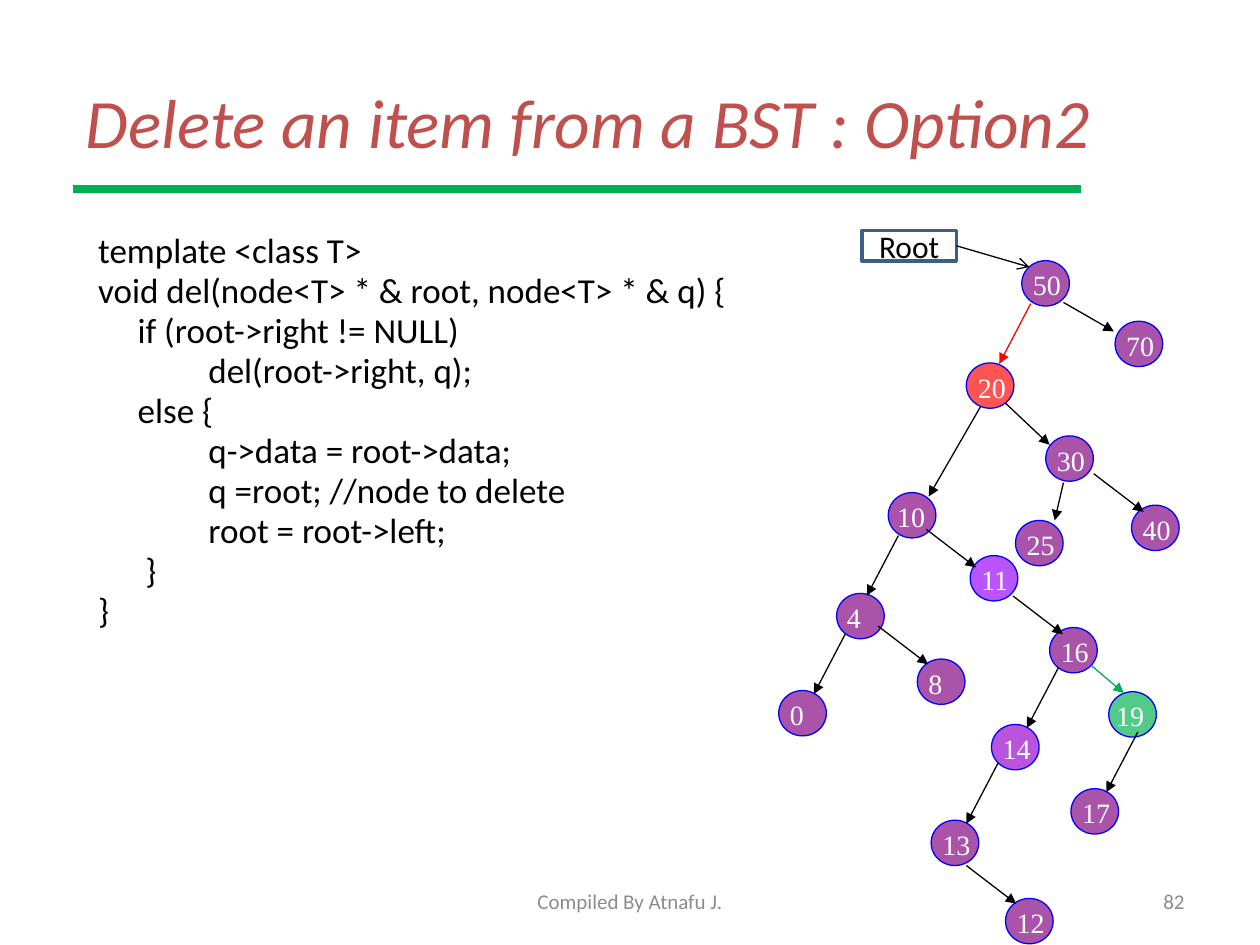
from lxml import etree
from pptx import Presentation
from pptx.dml import color
from pptx.enum import shapes, text
from pptx.oxml import ns
from pptx.util import Pt

C = {"title": "C0504D", "black": "000000", "white": "FFFFFF", "grey": "8C8C8C",
     "green": "00B050", "red": "FF0000", "purple": "800080", "violet": "9900FF",
     "plum": "9900CC", "outline": "0000FF", "box": "3A5F8C"}

prs = Presentation()
prs.slide_width, prs.slide_height = Pt(720), Pt(540)
s = prs.slides.add_slide(prs.slide_layouts[6])


def add_text(x, y, w, h, lines, size, col, font="Calibri",
             align=text.PP_ALIGN.LEFT, anchor=text.MSO_ANCHOR.MIDDLE):
    tf = s.shapes.add_textbox(Pt(x), Pt(y), Pt(w), Pt(h)).text_frame
    tf.word_wrap = True
    tf.vertical_anchor = anchor
    tf.text = lines
    for p in tf.paragraphs:
        p.alignment = align
        for r in p.runs:
            r.font.size, r.font.name = Pt(size), font
            r.font.color.rgb = color.RGBColor.from_string(C[col])
    return tf


def add_line(x1, y1, x2, y2, col="black", width=0.75, head=None):
    ln = s.shapes.add_connector(shapes.MSO_CONNECTOR.STRAIGHT,
                                Pt(x1), Pt(y1), Pt(x2), Pt(y2))
    ln.line.color.rgb = color.RGBColor.from_string(C[col])
    ln.line.width = Pt(width)
    if head:
        etree.SubElement(ln.line._get_or_add_ln(), ns.qn("a:tailEnd"), type=head)
    etree.SubElement(ln._element.spPr, ns.qn("a:effectLst"))
    return ln


# Title and rule
tf = add_text(42, 24, 648, 90, "Delete an item from a BST : Option2", 39.6, "title")
tf.paragraphs[0].runs[0].font.italic = True
add_line(42, 108, 618, 108, "green", 4.25)

# Code
code = """template <class T>
void del(node<T> * & root, node<T> * & q) {
     if (root->right != NULL)
\t\tdel(root->right, q);
     else {
\t\tq->data = root->data;
\t\tq =root; //node to delete
\t\troot = root->left;
\t}
}"""
tf = add_text(49, 131.8, 612, 372, code, 20, "black", anchor=text.MSO_ANCHOR.TOP)
for i, p in enumerate(tf.paragraphs):
    pPr = p._p.get_or_add_pPr()
    pPr.set("marL", str(Pt(27)))
    pPr.set("indent", str(-Pt(27)))
    p.line_spacing = 0.8
    if i:
        p.space_before = Pt(3.6)

# Footer and slide number
add_text(246, 500.4, 228, 28.8, "Compiled By Atnafu J.", 12, "grey",
         align=text.PP_ALIGN.CENTER)
add_text(516, 500.4, 168, 28.8, "82", 12, "grey", align=text.PP_ALIGN.RIGHT)

# Tree nodes: key, left, top, fill, label shift
nodes = [
    ("20", 552.2, 207.4, "red", -0.4), ("50", 583.9, 149, "purple", -0.7),
    ("10", 507.6, 281.5, "purple", -2), ("4", 478.1, 339.1, "purple", -1.2),
    ("8", 524.2, 376.6, "purple", -0.7), ("30", 597.6, 249.1, "purple", -0.7),
    ("0", 445, 394.6, "purple", -0.7), ("11", 554.4, 317.5, "violet", -0.7),
    ("16", 599.8, 358.6, "purple", -0.7), ("14", 566.6, 414, "plum", -0.7),
    ("17", 612, 450.7, "purple", -0.7), ("40", 646.6, 288.7, "purple", -0.7),
    ("25", 580.3, 297.4, "purple", -0.7), ("70", 637.2, 183.6, "purple", -0.7),
    ("13", 532.1, 468.7, "purple", -0.7), ("19", 633.6, 395.3, "green", -2.9),
    ("12", 574.6, 513.4, "purple", -0.7),
]
for key, x, y, fill, dx in nodes:
    sp = s.shapes.add_shape(shapes.MSO_SHAPE.OVAL, Pt(x), Pt(y), Pt(27.2), Pt(25.9))
    sp.shadow.inherit = False
    sp.fill.solid()
    sp.fill.fore_color.rgb = color.RGBColor.from_string(C[fill])
    clr = sp._element.spPr.find(".//" + ns.qn("a:srgbClr"))
    etree.SubElement(clr, ns.qn("a:alpha"), val="67000")
    sp.line.color.rgb = color.RGBColor.from_string(C["outline"])
    sp.line.width = Pt(0.75)
    add_text(x + dx, y + 0.6, 36, 25.9, key, 16, "white", "Times New Roman",
             anchor=text.MSO_ANCHOR.TOP)

# Tree edges: start point, step to the child, colour
LEFT, RIGHT = (-18, 34.4), (28.5, 21.8)
edges = [
    (589, 173.5, LEFT, "red"), (607.7, 172.8, (28.8, 16.6), "black"),
    (560.2, 232.6, (-29.5, 51.1), "black"), (574.6, 230.4, (25.2, 23.8), "black"),
    (513.4, 306, LEFT, "black"), (529.2, 302.4, RIGHT, "black"),
    (483.1, 362.2, LEFT, "black"), (501.8, 357.8, RIGHT, "black"),
    (607.7, 275.8, (-5, 21.6), "black"), (625, 270.7, RIGHT, "black"),
    (578.9, 340.6, RIGHT, "black"), (604.8, 381.6, LEFT, "black"),
    (623.5, 380.2, (18.7, 15.8), "green"), (650.2, 418.3, LEFT, "black"),
    (570.2, 436.3, LEFT, "black"), (552.2, 494.6, RIGHT, "black"),
]
for x, y, (dx, dy), col in edges:
    add_line(x, y, x + dx, y + dy, col, head="triangle")

# Root pointer
sp = s.shapes.add_shape(shapes.MSO_SHAPE.RECTANGLE, Pt(492.5), Pt(131.8), Pt(54), Pt(17.3))
sp.shadow.inherit = False
sp.fill.background()
sp.line.color.rgb = color.RGBColor.from_string(C["box"])
sp.line.width = Pt(2)
tf = sp.text_frame
tf.text = "Root"
tf.vertical_anchor = text.MSO_ANCHOR.MIDDLE
p = tf.paragraphs[0]
p.alignment = text.PP_ALIGN.CENTER
r = p.runs[0]
r.font.size, r.font.name = Pt(18), "Calibri"
r.font.color.rgb = color.RGBColor.from_string(C["black"])
add_line(546.5, 140.4, 588.2, 152.6, head="arrow").begin_connect(sp, 3)

prs.save("out.pptx")
